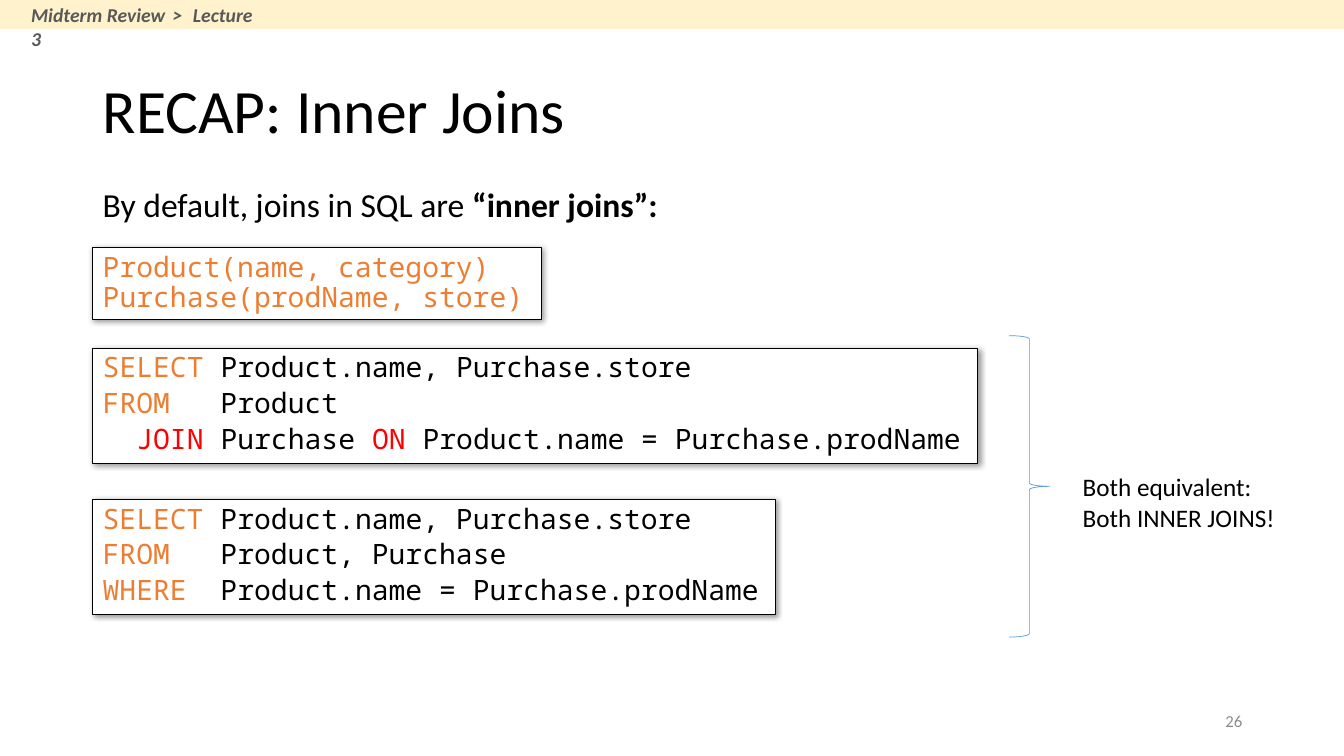
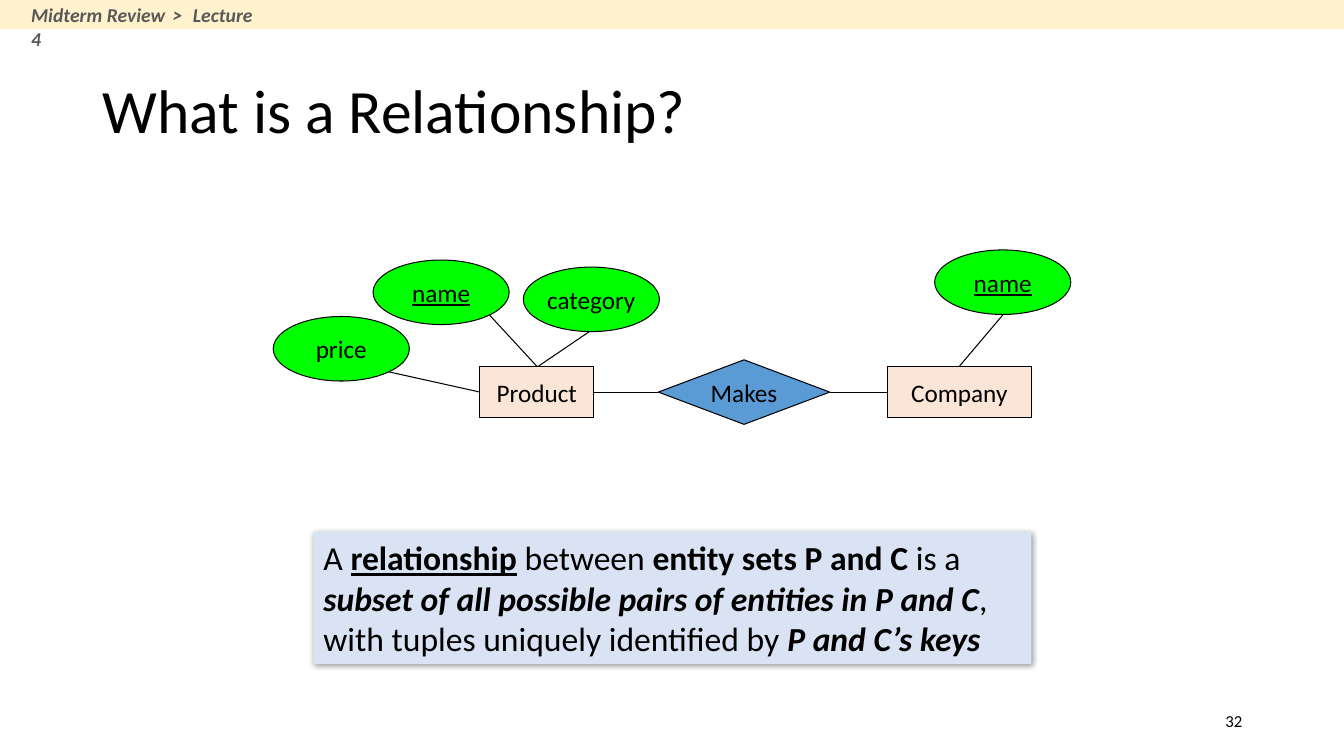
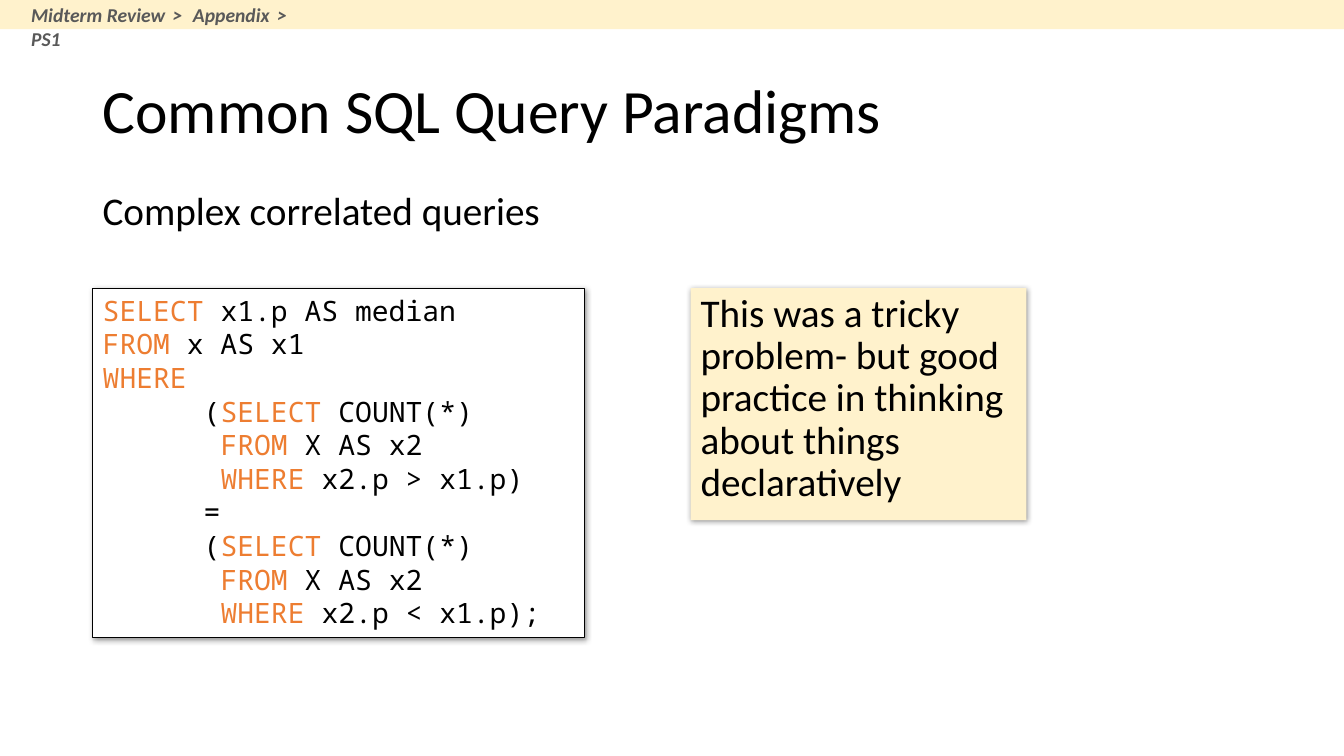
"""Build three database review slides: inner joins, relationships and query paradigms."""
from lxml import etree
from pptx import Presentation
from pptx.dml.color import RGBColor
from pptx.enum import shapes, text
from pptx.oxml import ns
from pptx.util import Inches, Pt

COLORS = {
    "black": "000000", "white": "FFFFFF", "gray": "8C8C8C", "crumb": "595959",
    "orange": "ED7D31", "red": "FF0000", "cream": "FFF2CC", "blue": "5B9BD5",
    "peach": "FBE5D6", "green": "00FF00", "pale": "DAE3F3",
}
RGB = {name: RGBColor.from_string(value) for name, value in COLORS.items()}
KEYWORDS = {"SELECT": "orange", "FROM": "orange", "WHERE": "orange", "JOIN": "red", "ON": "red"}
MONO = "Noto Sans Mono"
SHAPE = shapes.MSO_SHAPE
SHADOW = (
    '<a:effectLst xmlns:a="%s"><a:outerShdw blurRad="50800" dist="12700" dir="2700000" '
    'algn="tl" rotWithShape="0"><a:srgbClr val="000000"><a:alpha val="40000"/></a:srgbClr>'
    "</a:outerShdw></a:effectLst>" % ns.namespaces("a")["a"]
)


def add_box(s, at, kind=None, fill=None, line=None, width=0.75, shadow=False):
    at = [Inches(v) for v in at]
    if kind is None:
        return s.shapes.add_textbox(*at)
    sp = s.shapes.add_shape(kind, *at)
    sp.shadow.inherit = False
    if fill:
        sp.fill.solid()
        sp.fill.fore_color.rgb = RGB[fill]
    else:
        sp.fill.background()
    if line:
        sp.line.color.rgb = RGB[line]
        sp.line.width = Pt(width)
    else:
        sp.line.fill.background()
    if shadow:
        pr = sp.element.spPr
        pr.replace(pr.find(ns.qn("a:effectLst")), etree.fromstring(SHADOW))
    return sp


def write(sp, lines, size, color="black", font="Calibri", align="LEFT", anchor="TOP",
          spacing=1.0, before=0, wrap=True):
    tf = sp.text_frame
    tf.word_wrap = wrap
    tf.vertical_anchor = text.MSO_ANCHOR[anchor]
    for i, runs in enumerate(lines):
        p = tf.add_paragraph() if i else tf.paragraphs[0]
        p.alignment = text.PP_ALIGN[align]
        p.line_spacing = spacing
        if i and before:
            p.space_before = Pt(before)
        p.font.name, p.font.size, p.font.color.rgb = font, Pt(size), RGB[color]
        if font == MONO:
            for word in KEYWORDS:
                runs = runs.replace(word, f"|{word}|")
            runs = [(part, "") for part in runs.split("|") if part]
        elif isinstance(runs, str):
            runs = [(runs, "")]
        for content, style in runs:
            r = p.add_run()
            r.text = content
            if content in KEYWORDS:
                r.font.color.rgb = RGB[KEYWORDS[content]]
            if "b" in style:
                r.font.bold = True
            if "i" in style:
                r.font.italic = True
            if "u" in style:
                r.font.underline = True
            if "w" in style:
                r.font._element.set("spc", "210")


prs = Presentation()
prs.slide_width, prs.slide_height = Inches(13.33), Inches(7.5)

PAGES = [
    ("RECAP: Inner Joins", ["Midterm Review", "Lecture 3"], 2.48, "26", "gray"),
    ("What is a Relationship?", ["Midterm Review", "Lecture 4"], 2.48, "32", "black"),
    ("Common SQL Query Paradigms", ["Midterm Review", "Appendix", "PS1"], 3.05, None, None),
]
for title, crumbs, crumb_width, number, number_color in PAGES:
    s = prs.slides.add_slide(prs.slide_layouts[6])
    add_box(s, (0, 0, 13.33, 0.29), SHAPE.RECTANGLE, "cream")
    trail = [(crumbs[0], "bi")]
    for crumb in crumbs[1:]:
        trail += [(" > ", "biw"), (crumb, "bi")]
    write(add_box(s, (0.21, -0.02, crumb_width, 0.34)), [trail], 14, "crumb")
    write(add_box(s, (0.92, 0.4, 11.5, 1.45)), [title], 44, anchor="MIDDLE", spacing=0.9)
    if number:
        write(add_box(s, (9.42, 6.95, 3, 0.4)), [number], 12, number_color,
              align="RIGHT", anchor="MIDDLE")

joins, relationship, paradigms = prs.slides

write(add_box(joins, (0.92, 1.82, 9.5, 0.5)),
      [[("By default, joins in SQL are ", ""), ("“inner joins”:", "b")]], 24, spacing=0.9)
JOIN_CODE = [
    ((0.92, 2.46, 4.45, 0.71), "orange", 0,
     ["Product(name, category)", "Purchase(prodName, store)"]),
    ((0.92, 3.46, 8.78, 1.14), "black", 4,
     ["SELECT Product.name, Purchase.store", "FROM   Product",
      "  JOIN Purchase ON Product.name = Purchase.prodName"]),
    ((0.92, 4.96, 6.77, 1.14), "black", 4,
     ["SELECT Product.name, Purchase.store", "FROM   Product, Purchase",
      "WHERE  Product.name = Purchase.prodName"]),
]
for at, color, before, lines in JOIN_CODE:
    sp = add_box(joins, at, SHAPE.RECTANGLE, "white", "black", shadow=True)
    write(sp, lines, 20, color, MONO, spacing=0.9, before=before)
add_box(joins, (10.01, 3.33, 0.4, 2.99), SHAPE.RIGHT_BRACE, line="blue", width=0.5)
write(add_box(joins, (10.64, 4.63, 2.13, 0.71)),
      ["Both equivalent:", "Both INNER JOINS!"], 18, wrap=False)

LINKS = [
    (3.86, 3.69, 4.76, 3.89), (4.85, 3.12, 5.33, 3.64), (5.86, 3.28, 5.33, 3.64),
    (9.95, 3.12, 9.51, 3.64), (5.89, 3.89, 6.53, 3.89), (8.23, 3.89, 8.8, 3.89),
]
for ends in LINKS:
    link = relationship.shapes.add_connector(
        shapes.MSO_CONNECTOR.STRAIGHT, *[Inches(v) for v in ends])
    link.line.color.rgb = RGB["black"]
    link.line.width = Pt(0.75)
    etree.SubElement(link.element.spPr, ns.qn("a:effectLst"))

NODES = [
    ("Makes", "", SHAPE.DIAMOND, "blue", (6.53, 3.57, 1.7, 0.64)),
    ("Product", "", SHAPE.RECTANGLE, "peach", (4.76, 3.64, 1.13, 0.5)),
    ("Company", "", SHAPE.RECTANGLE, "peach", (8.8, 3.64, 1.43, 0.5)),
]
for label, style, left, top in [("name", "u", 3.7, 2.58), ("category", "", 5.19, 2.65),
                                ("price", "", 2.71, 3.14), ("name", "u", 9.27, 2.48)]:
    NODES.append((label, style, SHAPE.OVAL, "green", (left, top, 1.35, 0.64)))
for label, style, kind, fill, at in NODES:
    sp = add_box(relationship, at, kind, fill, "black")
    write(sp, [[(label, style)]], 18, align="CENTER", anchor="MIDDLE", wrap=False)

sp = add_box(relationship, (3.11, 5.28, 7.12, 1.31), SHAPE.RECTANGLE, "pale", shadow=True)
write(sp, [[
    ("A ", ""), ("relationship", "bu"), (" between ", ""), ("entity sets P and C ", "b"),
    ("is a ", ""), ("subset of all possible pairs of entities in P and C", "bi"),
    (", with tuples uniquely identified by ", ""), ("P and C’s keys", "bi"),
]], 24)

write(add_box(paradigms, (0.92, 1.85, 11.5, 0.56)), ["Complex correlated queries"], 28,
      spacing=0.9)
sp = add_box(paradigms, (0.92, 2.86, 4.88, 3.47), SHAPE.RECTANGLE, "white", "black", shadow=True)
write(sp, [
    "SELECT x1.p AS median",
    "FROM x AS x1",
    "WHERE",
    "      (SELECT COUNT(*)",
    "       FROM X AS x2",
    "       WHERE x2.p > x1.p)",
    "      =",
    "      (SELECT COUNT(*)",
    "       FROM X AS x2",
    "       WHERE x2.p < x1.p);",
], 20, font=MONO)
sp = add_box(paradigms, (6.85, 2.86, 3.33, 2.3), SHAPE.RECTANGLE, "cream", shadow=True)
write(sp, ["This was a tricky problem- but good practice in thinking about things declaratively"],
      28, spacing=0.9)

prs.save("out.pptx")
